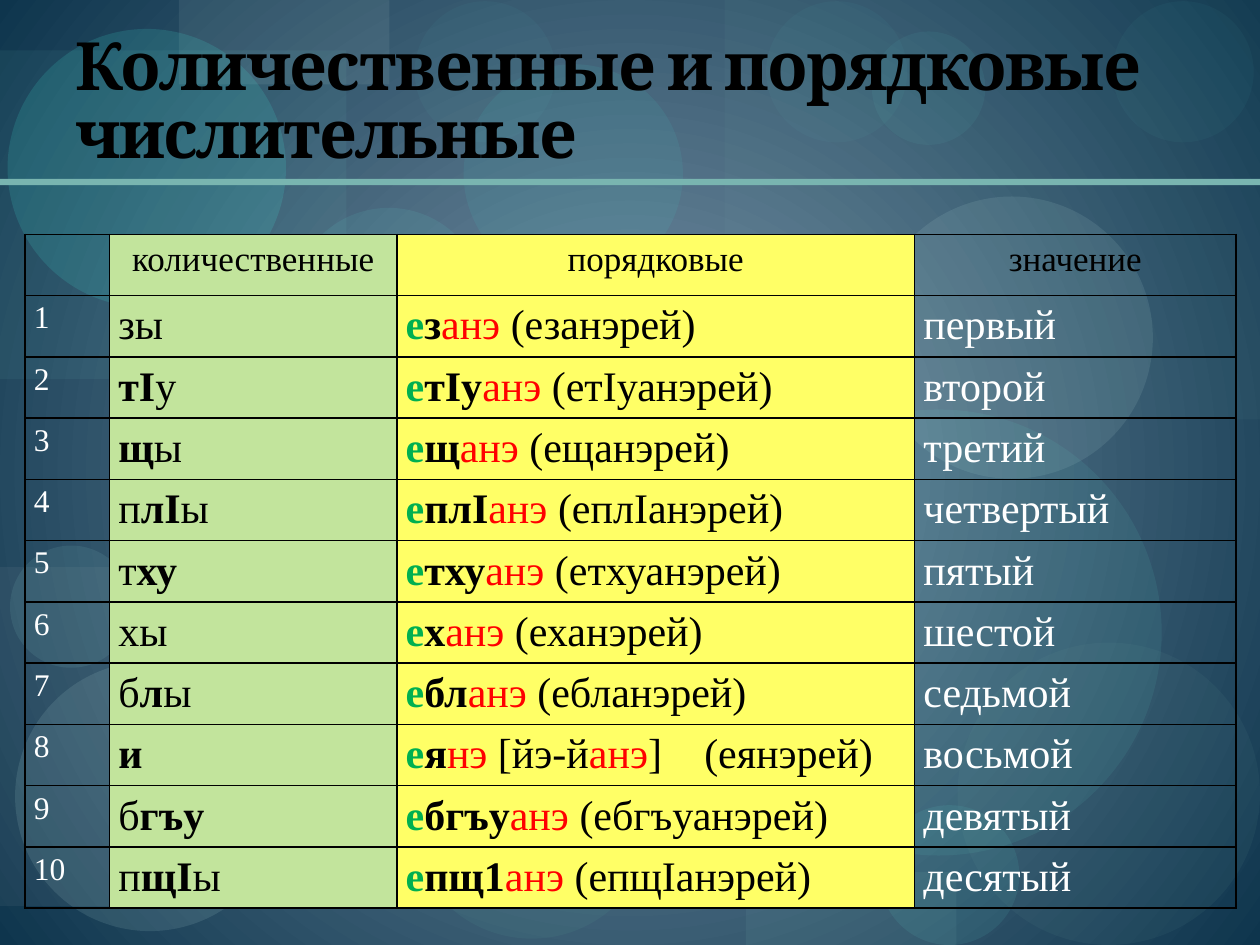
from lxml.etree import SubElement
from pptx import Presentation
from pptx.dml.color import RGBColor
from pptx.enum.shapes import MSO_SHAPE as Shape
from pptx.enum.text import MSO_ANCHOR as Anchor, MSO_AUTO_SIZE as AutoSize, PP_ALIGN as Align
from pptx.oxml import parse_xml
from pptx.oxml.ns import nsdecls, qn
from pptx.util import Inches, Pt

# The slide is a grid of 100 columns by 75 rows
COLUMNS, ROWS = 100, 75
WIDTH, HEIGHT = Inches(10), Inches(7.5)

COLORS = {
    "center": "7B96AA", "edge": "0E354D", "rule": "79B5B0",
    "black": "000000", "white": "FFFFFF", "prefix": "00B050", "suffix": "FF0000",
    "cardinal": "C2E49C", "ordinal": "FFFF66",
}
TITLE = "Количественные и порядковые числительные"
TITLE_FONT, TABLE_FONT = "Cambria", "Times New Roman"

# Background decor: outline, left, top, width, height, colour, opacity in percent
BOX, DISC = Shape.RECTANGLE, Shape.OVAL
DECOR = [
    (BOX, 10, 25.1, 30, 23.3, "79B5B0", 9),
    (DISC, 32.6, 55.5, 19.2, 19, "549791", 13),
    (BOX, 57.5, 0, 42.5, 33.3, "79B5B0", 6),
    (BOX, 0, 45, 25.8, 26.9, "B2B7BA", 8),
    (DISC, 45.7, 26.1, 23.8, 23.8, "70A39E", 8),
    (DISC, 69.8, 63.9, 11.1, 11.1, "65E8DC", 9),
    (DISC, 69.1, 15.6, 22.4, 22.4, "C1E8E4", 11),
    (DISC, 1.2, 52.5, 21.4, 21.4, "C1E8E4", 12),
    (DISC, 22.1, 50.1, 11.2, 11.2, "65E8DC", 9),
    (DISC, 45.6, 50.6, 16.6, 15.3, "44EADC", 8),
    (BOX, 0, 4, 27.5, 26.1, "77D6CE", 7),
    (BOX, 14.2, 0, 16.7, 6.7, "BED7D4", 10),
    (DISC, 0.6, 2.3, 22.1, 22.1, "44EADC", 15),
    (DISC, 0.8, 43.3, 9.7, 9.7, "97DCD6", 10),
    (DISC, 23.2, 16.5, 15.3, 15.3, "65E8DC", 9),
    (DISC, 36.8, 5.1, 17.4, 17.4, "44EADC", 8),
    (DISC, 56.8, 32.5, 35.4, 35.4, "61CDC4", 10),
    (DISC, 60.8, 0.1, 11.2, 11.2, "65E8DC", 4),
    (DISC, 76, 51, 24, 24, "70A39E", 8),
    (DISC, 17.5, 40.5, 13.1, 13.1, "97DCD6", 10),
    (DISC, 69.2, 2.5, 9, 9, "65E8DC", 6),
    (DISC, 88.3, 0.1, 11.2, 11.2, "65E8DC", 4),
    (BOX, 59.2, 69.2, 16.7, 5.8, "79B5B0", 10),
    (DISC, 32.9, 0.1, 11.2, 11.2, "65E8DC", 4),
    (BOX, 0, 14.2, 100, 0.5, COLORS["rule"], 100),
]

HEADERS = ["", "количественные", "порядковые", "значение"]
COLUMN_WIDTHS = [6.7, 22.8, 41.1, 25.5]
COLUMN_FILLS = [None, "cardinal", "ordinal", None]

# Cardinal (bold between asterisks), ordinal stem, ordinal suffix, gloss, meaning
NUMERALS = [
    ("зы", "з", "анэ ", "(езанэрей)", "первый"),
    ("*тI*у", "тIу", "анэ ", "(етIуанэрей)", "второй"),
    ("*щ*ы", "щ", "анэ ", "(ещанэрей)", "третий"),
    ("п*лI*ы", "плI", "анэ ", "(еплIанэрей)", "четвертый"),
    ("т*ху*", "тху", "анэ ", "(етхуанэрей)", "пятый"),
    ("хы", "х", "анэ ", "(еханэрей)", "шестой"),
    ("б*л*ы", "бл", "анэ ", "(ебланэрей)", "седьмой"),
    ("*и*", "я", "нэ ", "[йэ-й*анэ*]\t(еянэрей)", "восьмой"),
    ("б*гъу*", "бгъу", "анэ ", "(ебгъуанэрей)", "девятый"),
    ("п*щI*ы", "пщ1", "анэ ", "(епщIанэрей)", "десятый"),
]
GLOSS_TAB = Inches(2.37)


def across(columns):
    return round(WIDTH * columns / COLUMNS)


def down(rows):
    return round(HEIGHT * rows / ROWS)


def place(left, top, width, height):
    return across(left), down(top), across(width), down(height)


def add_run(paragraph, text, size, color, bold=False, font=TABLE_FONT):
    run = paragraph.add_run()
    run.text = text
    run.font.name, run.font.size, run.font.bold = font, Pt(size), bold
    run.font.color.rgb = RGBColor.from_string(COLORS[color])
    return run


def paint_background(slide):
    fill = slide.background.fill
    fill.gradient()
    for stop, name, position in zip(fill.gradient_stops, ("center", "edge"), (0, 1)):
        stop.color.rgb = RGBColor.from_string(COLORS[name])
        stop.position = position
    # Turn the linear gradient into a radial one
    gradient = slide._element.xpath(".//p:bg//a:gradFill")[0]
    gradient.remove(gradient.find(qn("a:lin")))
    gradient.append(parse_xml(
        f'<a:path {nsdecls("a")} path="circle">'
        '<a:fillToRect l="50000" t="50000" r="50000" b="50000"/></a:path>'))


def add_decor(slide, outline, left, top, width, height, color, opacity):
    decor = slide.shapes.add_shape(outline, *place(left, top, width, height))
    decor.shadow.inherit = False
    decor.line.fill.background()
    decor.fill.solid()
    decor.fill.fore_color.rgb = RGBColor.from_string(color)
    if opacity < 100:
        tint = decor._element.spPr.find(qn("a:solidFill"))[0]
        SubElement(tint, qn("a:alpha"), val=str(opacity * 1000))


def set_title(slide):
    title = slide.shapes.title
    title.left, title.top, title.width, title.height = place(5, 1.7, 90, 12.5)
    frame = title.text_frame
    frame.vertical_anchor, frame.auto_size = Anchor.BOTTOM, AutoSize.NONE
    paragraph = frame.paragraphs[0]
    paragraph.alignment, paragraph.line_spacing = Align.LEFT, 0.86
    run = add_run(paragraph, TITLE, 38, "black", True, TITLE_FONT)
    run.font._element.set("spc", "-100")
    # Bring the title in front of the decor
    slide.shapes._spTree.append(title._element)


def format_cell(cell, fill):
    cell.margin_left = cell.margin_right = Inches(0.07)
    cell.margin_top = cell.margin_bottom = 0
    if fill:
        cell.fill.solid()
        cell.fill.fore_color.rgb = RGBColor.from_string(COLORS[fill])
    else:
        cell.fill.background()
    for index, side in enumerate("LRTB"):
        cell._tc.get_or_add_tcPr().insert(index, parse_xml(
            f'<a:ln{side} {nsdecls("a")} w="12700"><a:solidFill>'
            f'<a:srgbClr val="{COLORS["black"]}"/></a:solidFill></a:ln{side}>'))


def numeral_runs(number, cardinal, stem, suffix, gloss, meaning):
    """Runs of the four cells in a row, as (text, size, colour, bold)."""
    gloss_runs = [(part, 24, "suffix" if marked % 2 else "black", False)
                  for marked, part in enumerate(gloss.split("*"))]
    return [
        [(str(number), 18, "white", False)],
        [(part, 24, "black", marked % 2 == 1)
         for marked, part in enumerate(cardinal.split("*")) if part],
        [("е", 24, "prefix", True), (stem, 24, "black", True),
         (suffix, 24, "suffix", False), *gloss_runs],
        [(meaning, 24, "white", False)],
    ]


def add_numerals_table(slide):
    rows = [[[(header, 20, "black", False)] if header else [] for header in HEADERS]]
    rows += [numeral_runs(number, *numeral) for number, numeral in enumerate(NUMERALS, 1)]
    table = slide.shapes.add_table(
        len(rows), len(HEADERS), *place(2, 18.6, sum(COLUMN_WIDTHS), 53.5)).table
    table.first_row = table.horz_banding = False
    for column, width in zip(table.columns, COLUMN_WIDTHS):
        column.width = across(width)
    for row_index, row in enumerate(rows):
        for column_index, runs in enumerate(row):
            cell = table.cell(row_index, column_index)
            format_cell(cell, COLUMN_FILLS[column_index])
            paragraph = cell.text_frame.paragraphs[0]
            paragraph.alignment = Align.JUSTIFY if row_index else Align.CENTER
            paragraph.line_spacing = 1.15
            if any("\t" in run[0] for run in runs):
                tabs = SubElement(paragraph._p.get_or_add_pPr(), qn("a:tabLst"))
                SubElement(tabs, qn("a:tab"), pos=str(GLOSS_TAB), algn="l")
            for run in runs:
                add_run(paragraph, *run)


def main():
    deck = Presentation()
    deck.slide_width, deck.slide_height = WIDTH, HEIGHT
    slide = deck.slides.add_slide(deck.slide_layouts[5])
    paint_background(slide)
    for decor in DECOR:
        add_decor(slide, *decor)
    set_title(slide)
    add_numerals_table(slide)
    deck.save("out.pptx")


if __name__ == "__main__":
    main()
